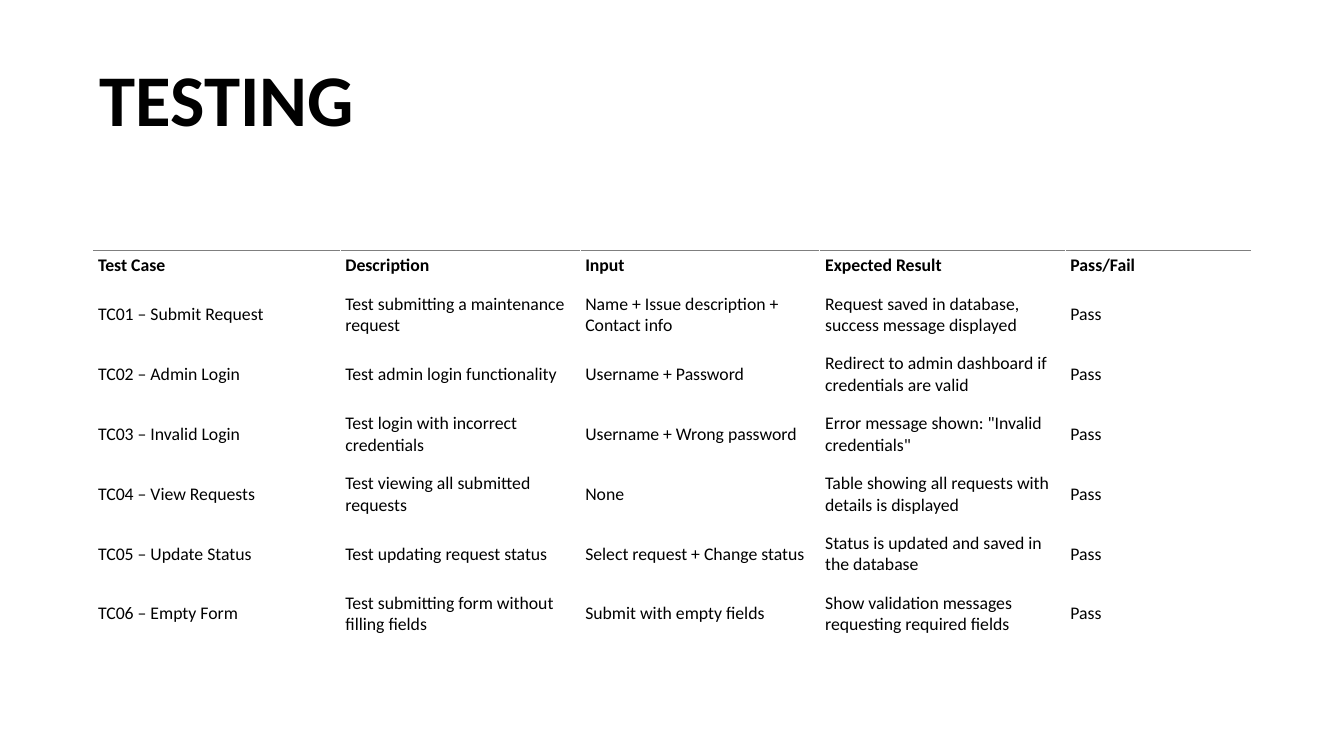
import pptx
import pptx.util
import pptx.dml.color
import pptx.enum.text
import pptx.oxml

PX = 9144
MID = pptx.enum.text.MSO_ANCHOR.MIDDLE
LEFT = pptx.enum.text.PP_ALIGN.LEFT
NONE = pptx.enum.text.MSO_AUTO_SIZE.NONE
COLS = [368, 357, 357, 365, 277]
HEAD = ["Test Case", "Description", "Input", "Expected Result", "Pass/Fail"]
TESTS = [
    ["TC01 – Submit Request", "Test submitting a maintenance request",
     "Name + Issue description + Contact info",
     "Request saved in database, success message displayed", "Pass"],
    ["TC02 – Admin Login", "Test admin login functionality",
     "Username + Password",
     "Redirect to admin dashboard if credentials are valid", "Pass"],
    ["TC03 – Invalid Login", "Test login with incorrect credentials",
     "Username + Wrong password",
     'Error message shown: "Invalid credentials"', "Pass"],
    ["TC04 – View Requests", "Test viewing all submitted requests",
     "None", "Table showing all requests with details is displayed", "Pass"],
    ["TC05 – Update Status", "Test updating request status",
     "Select request + Change status",
     "Status is updated and saved in the database", "Pass"],
    ["TC06 – Empty Form", "Test submitting form without filling fields",
     "Submit with empty fields",
     "Show validation messages requesting required fields", "Pass"],
]


def px(num):
    """Turn px into EMU."""
    return pptx.util.Emu(num * PX)


def tint(code):
    """Turn a hex string into a colour."""
    return pptx.dml.color.RGBColor.from_string(code)


def apply(item, form):
    """Set each format value on an item."""
    for name, value in form.items():
        setattr(item, name, value)


def write(para, text, size, bold):
    """Put one styled run in a paragraph."""
    run = para.add_run()
    run.text = text
    apply(run.font, {"name": "Calibri", "size": pptx.util.Pt(size), "bold": bold})
    run.font.color.rgb = tint("000000")


def rule(cell, code):
    """Draw a thin line along the top of a cell."""
    line = pptx.oxml.parse_xml(
        '<a:lnT xmlns:a="http://schemas.openxmlformats.org/drawingml/2006/main"'
        f' w="12700"><a:solidFill><a:srgbClr val="{code}"/></a:solidFill></a:lnT>')
    cell._tc.get_or_add_tcPr().insert(0, line)


def title(slide, left, top, wide, high):
    """Place the slide title in its box."""
    shape = slide.shapes.title
    apply(shape, {"left": px(left), "top": px(top),
                  "width": px(wide), "height": px(high)})
    apply(shape.text_frame, {"word_wrap": True, "auto_size": NONE,
                             "vertical_anchor": MID})
    para = shape.text_frame.paragraphs[0]
    apply(para, {"alignment": LEFT, "line_spacing": 0.9,
                 "space_after": pptx.util.Pt(6)})
    write(para, "TESTING", 78, True)


def grid(slide, left, top, wide, high):
    """Place the table of test cases in its box."""
    rows = [HEAD] + TESTS
    table = slide.shapes.add_table(len(rows), len(COLS), px(left), px(top),
                                   px(wide), px(high)).table
    apply(table, {"first_row": False, "horz_banding": False})
    for col, size in zip(table.columns, COLS):
        col.width = px(size)
    for r, texts in enumerate(rows):
        table.rows[r].height = px(89 if r else 58)
        for c, text in enumerate(texts):
            cell = table.cell(r, c)
            apply(cell, {"vertical_anchor": MID, "margin_left": px(8),
                         "margin_top": px(4), "margin_right": px(8),
                         "margin_bottom": px(16)})
            cell.fill.solid()
            cell.fill.fore_color.rgb = tint("FFFFFF")
            write(cell.text_frame.paragraphs[0], text, 19, r == 0)
            if r == 0:
                rule(cell, "7F7F7F")


def main():
    """Build the testing slide and save it."""
    deck = pptx.Presentation()
    apply(deck, {"slide_width": px(2000), "slide_height": px(1125)})
    slide = deck.slides.add_slide(deck.slide_layouts[5])
    title(slide, 138, 30, 1725, 247)
    grid(slide, 138, 372, sum(COLS), 592)
    deck.save("out.pptx")


if __name__ == "__main__":
    main()
